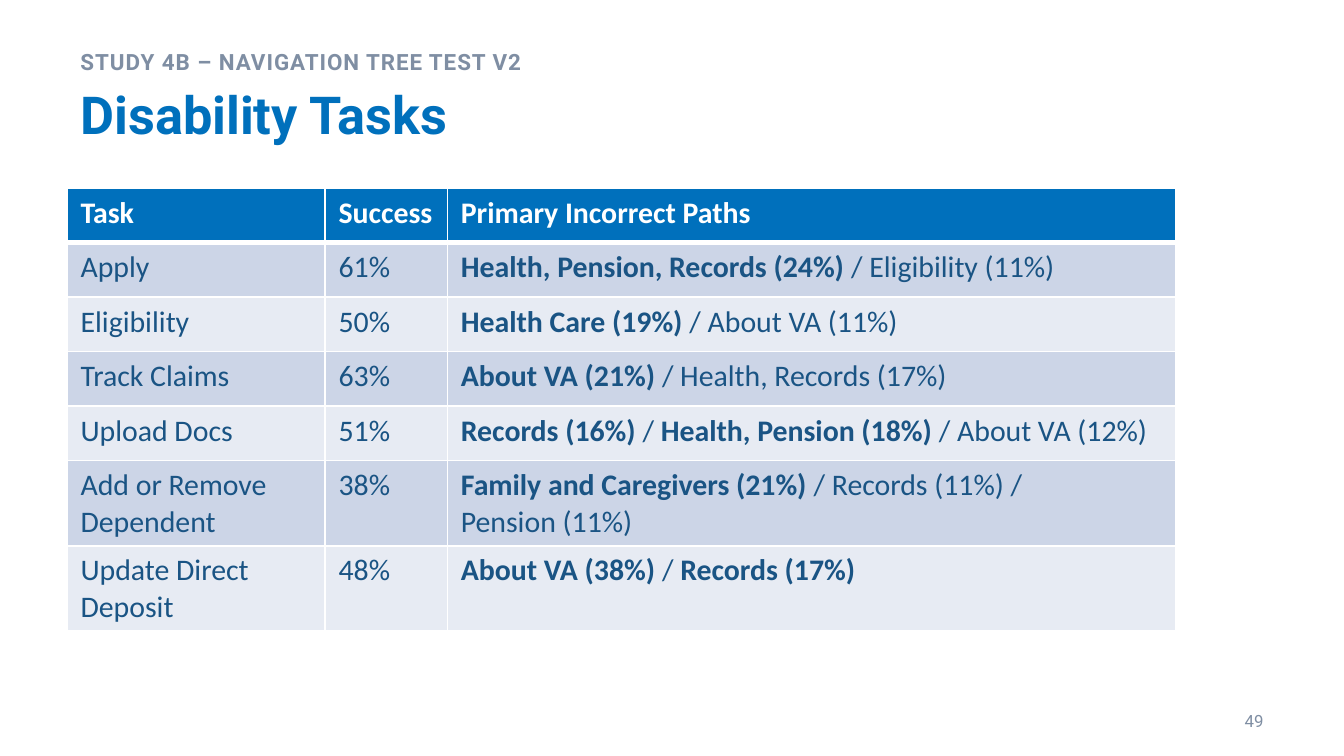
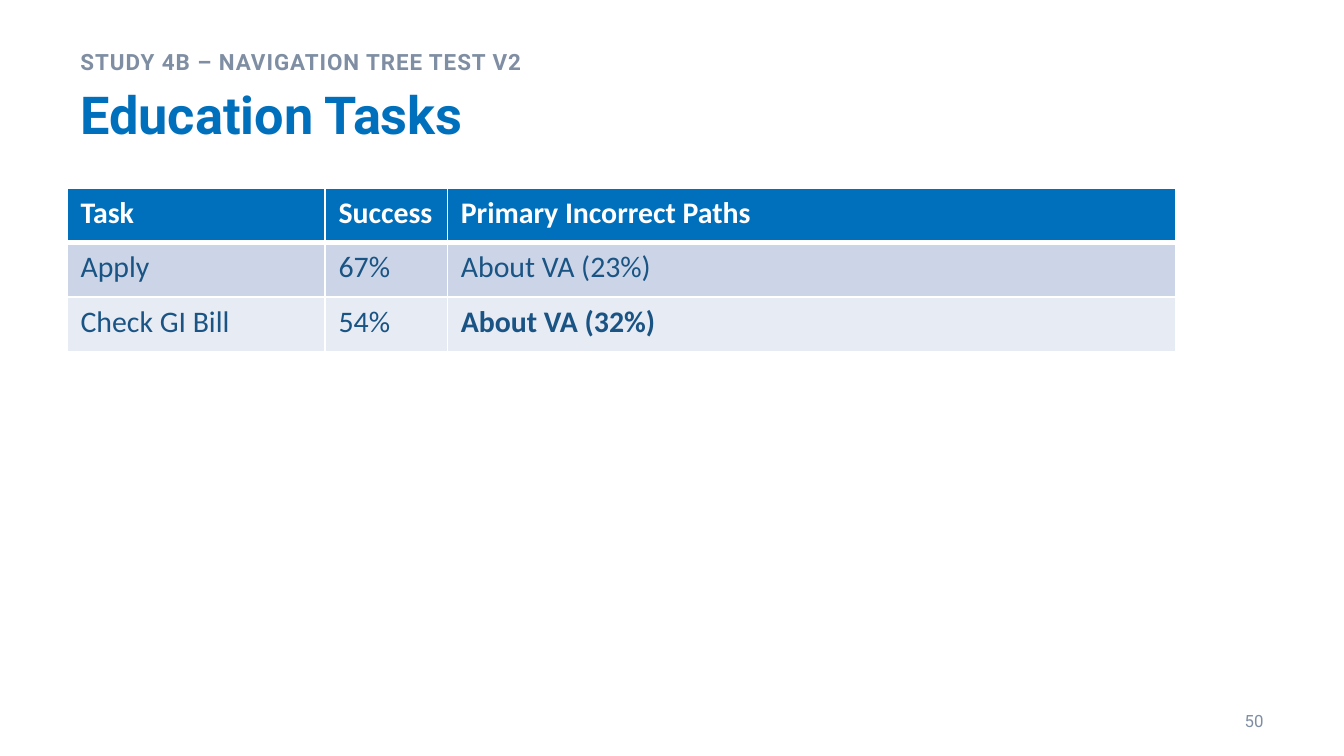
from lxml.etree import SubElement
from pptx import Presentation
from pptx.dml.color import RGBColor
from pptx.enum.text import MSO_ANCHOR, PP_ALIGN
from pptx.oxml.ns import qn
from pptx.util import Inches, Pt

COLORS = {
    "title": "0070BC",
    "muted": "7F8EA3",
    "body": "1A5484",
    "white": "FFFFFF",
    "odd_row": "CCD5E7",
    "even_row": "E7EBF3",
}
HEADING_FONT, TABLE_FONT = "Roboto", "Calibri"
SLIDE_WIDTH = 10
SLIDE_HEIGHT = SLIDE_WIDTH * 9 / 16
MARGIN, CONTENT_WIDTH = 0.5, 8.25
COLUMN_WIDTHS = [1.92, 0.91, 5.42]
ROW_HEIGHT = Pt(29.2)
KICKER = "STUDY 4B – NAVIGATION TREE TEST V2"
HEADER = ["Task", "Success", "Primary Incorrect Paths"]

# Text between asterisks is bold; a line break starts a new paragraph.
SLIDES = [
    (49, "Disability Tasks", [
        ["Apply", "61%", "*Health, Pension, Records (24%) */ Eligibility (11%)"],
        ["Eligibility", "50%", "*Health Care (19%) */ About VA (11%)"],
        ["Track Claims", "63%", "*About VA (21%) */ Health, Records (17%)"],
        ["Upload Docs", "51%",
         "*Records (16%) */ *Health, Pension (18%) */ About VA (12%)"],
        ["Add or Remove Dependent", "38%",
         "*Family and Caregivers (21%) */ Records (11%) /\nPension (11%)"],
        ["Update Direct Deposit", "48%", "*About VA (38%) */ *Records (17%)*"],
    ]),
    (50, "Education Tasks", [
        ["Apply", "67%", "About VA (23%)"],
        ["Check GI Bill", "54%", "*About VA (32%)*"],
    ]),
]


def add_label(page, text, left, top, width, height, size, color, bold=True):
    box = page.shapes.add_textbox(*map(Inches, (left, top, width, height)))
    box.text_frame.word_wrap = True
    para = box.text_frame.paragraphs[0]
    para.text = text
    font = para.runs[0].font
    font.name, font.size, font.bold = HEADING_FONT, Pt(size), bold
    font.color.rgb = RGBColor.from_string(COLORS[color])
    return box


def style_cell(cell, marked_text, fill, color, top_width, bottom_width):
    """Write text with *bold* marks, then set the fill and white borders."""
    frame = cell.text_frame
    for number, line in enumerate(marked_text.split("\n")):
        para = frame.add_paragraph() if number else frame.paragraphs[0]
        for index, piece in enumerate(line.split("*")):
            if piece:
                span = para.add_run()
                span.text = piece
                font = span.font
                font.name, font.size, font.bold = TABLE_FONT, Pt(16), index % 2 == 1
                font.color.rgb = RGBColor.from_string(COLORS[color])
    properties = cell._tc.get_or_add_tcPr()
    for side, width in (("L", 1), ("R", 1), ("T", top_width), ("B", bottom_width)):
        border = SubElement(properties, qn(f"a:ln{side}"), w=str(Pt(width)))
        solid = SubElement(border, qn("a:solidFill"))
        SubElement(solid, qn("a:srgbClr"), val=COLORS["white"])
    cell.fill.solid()
    cell.fill.fore_color.rgb = RGBColor.from_string(COLORS[fill])


deck = Presentation()
deck.slide_width, deck.slide_height = Inches(SLIDE_WIDTH), Inches(SLIDE_HEIGHT)

for page_number, title, tasks in SLIDES:
    page = deck.slides.add_slide(deck.slide_layouts[6])

    add_label(page, title, MARGIN, 0.56, CONTENT_WIDTH, 0.69, 28, "title")

    rows = [[f"*{heading}*" for heading in HEADER]] + tasks
    table = page.shapes.add_table(
        len(rows), len(HEADER), Inches(MARGIN), Inches(1.4),
        Inches(CONTENT_WIDTH), ROW_HEIGHT * len(rows)).table
    for column, width in zip(table.columns, COLUMN_WIDTHS):
        column.width = Inches(width)
    for row_index, row in enumerate(rows):
        table.rows[row_index].height = ROW_HEIGHT
        if row_index == 0:
            look = ("title", "white", 1, 3)
        else:
            band = "odd_row" if row_index % 2 else "even_row"
            look = (band, "body", 3 if row_index == 1 else 1, 1)
        for column_index, text in enumerate(row):
            style_cell(table.cell(row_index, column_index), text, *look)

    footer = add_label(page, str(page_number), MARGIN + CONTENT_WIDTH, 5.21,
                       0.75, 0.3, 9, "muted", bold=False)
    footer.text_frame.vertical_anchor = MSO_ANCHOR.MIDDLE
    footer.text_frame.paragraphs[0].alignment = PP_ALIGN.RIGHT

    kicker = add_label(page, KICKER, MARGIN, 0.27, CONTENT_WIDTH, 0.29, 12, "muted")
    para = kicker.text_frame.paragraphs[0]
    para.line_spacing, para.space_after = 1.2, Pt(6)
    para.runs[0].font._element.set("spc", "50")

deck.save("out.pptx")
